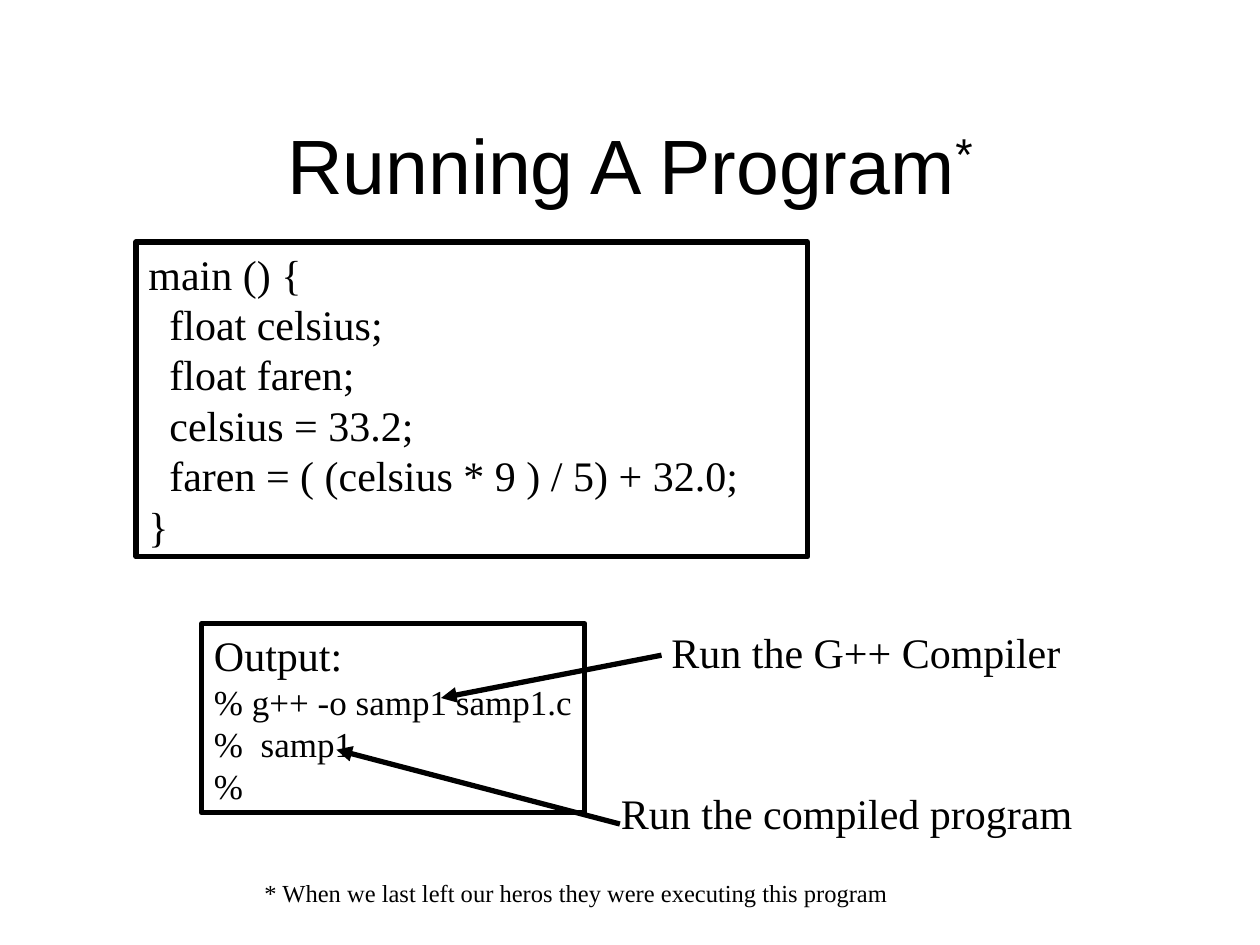
from lxml import etree
from pptx import Presentation
from pptx.dml.color import RGBColor
from pptx.enum.shapes import MSO_CONNECTOR, MSO_SHAPE
from pptx.enum.text import MSO_ANCHOR, PP_ALIGN
from pptx.oxml.ns import qn
from pptx.util import Pt

RECT, STRAIGHT = MSO_SHAPE.RECTANGLE, MSO_CONNECTOR.STRAIGHT
TOP, MIDDLE = MSO_ANCHOR.TOP, MSO_ANCHOR.MIDDLE
LEFT, CENTER = PP_ALIGN.LEFT, PP_ALIGN.CENTER
PX = 9144
BLACK = "000000"
SERIF, SANS = "Times New Roman", "Arial"
LINE_PT = 3

TITLE = ("Running A Program", "*")
CODE = [
    "main () {",
    "  float celsius;",
    "  float faren;",
    "  celsius = 33.2;",
    "  faren = ( (celsius * 9 ) / 5) + 32.0;",
    "}",
]
OUTPUT = ["Output:", "% g++ -o samp1 samp1.c", "%  samp1", "%"]
LABELS = [
    ("Run the G++ Compiler", (523, 492, 329, 50), 24),
    ("Run the compiled program", (483, 620, 378, 50), 24),
    ("* When we last left our heros they were executing this program",
     (200, 692, 515, 34), 14),
]
ARROWS = [((492, 654), (267, 595)), ((525, 520), (350, 554))]


def rgb(value):
    return RGBColor.from_string(value)


def px(values):
    return [v * PX for v in values]


def add_run(p, text, size, font, baseline=None):
    r = p.add_run()
    r.text = text
    r.font.size = Pt(size)
    r.font.name = font
    r.font.color.rgb = rgb(BLACK)
    if baseline:
        r._r.get_or_add_rPr().set("baseline", str(baseline))


def add_text(s, lines, box, sizes, font=SERIF, align=LEFT, anchor=TOP,
             wrap=False, framed=False, superscript=None):
    if framed:
        sp = s.shapes.add_shape(RECT, *px(box))
        sp.shadow.inherit = False
        sp.fill.background()
        sp.line.color.rgb = rgb(BLACK)
        sp.line.width = Pt(LINE_PT)
    else:
        sp = s.shapes.add_textbox(*px(box))
    tf = sp.text_frame
    tf.word_wrap = wrap
    tf.vertical_anchor = anchor
    for i, (line, size) in enumerate(zip(lines, sizes)):
        p = tf.paragraphs[0] if i == 0 else tf.add_paragraph()
        p.alignment = align
        add_run(p, line, size, font)
    if superscript:
        add_run(p, superscript, size, font, baseline=30000)


def add_arrow(s, start, end):
    c = s.shapes.add_connector(STRAIGHT, *px(start + end))
    c.line.color.rgb = rgb(BLACK)
    c.line.width = Pt(LINE_PT)
    etree.SubElement(c.line._get_or_add_ln(), qn("a:tailEnd"), type="triangle")
    etree.SubElement(c._element.spPr, qn("a:effectLst"))


def main():
    prs = Presentation()
    prs.slide_width, prs.slide_height = px((1000, 750))
    s = prs.slides.add_slide(prs.slide_layouts[6])
    title, mark = TITLE
    add_text(s, [title], (75, 67, 850, 125), [44], font=SANS, align=CENTER,
             anchor=MIDDLE, wrap=True, superscript=mark)
    add_text(s, CODE, (108, 192, 533, 250), [24] * len(CODE), wrap=True, framed=True)
    add_text(s, OUTPUT, (160, 495, 304, 150), [24, 20, 20, 20], framed=True)
    for text, box, size in LABELS:
        add_text(s, [text], box, [size])
    for start, end in ARROWS:
        add_arrow(s, start, end)
    prs.save("out.pptx")


if __name__ == "__main__":
    main()
